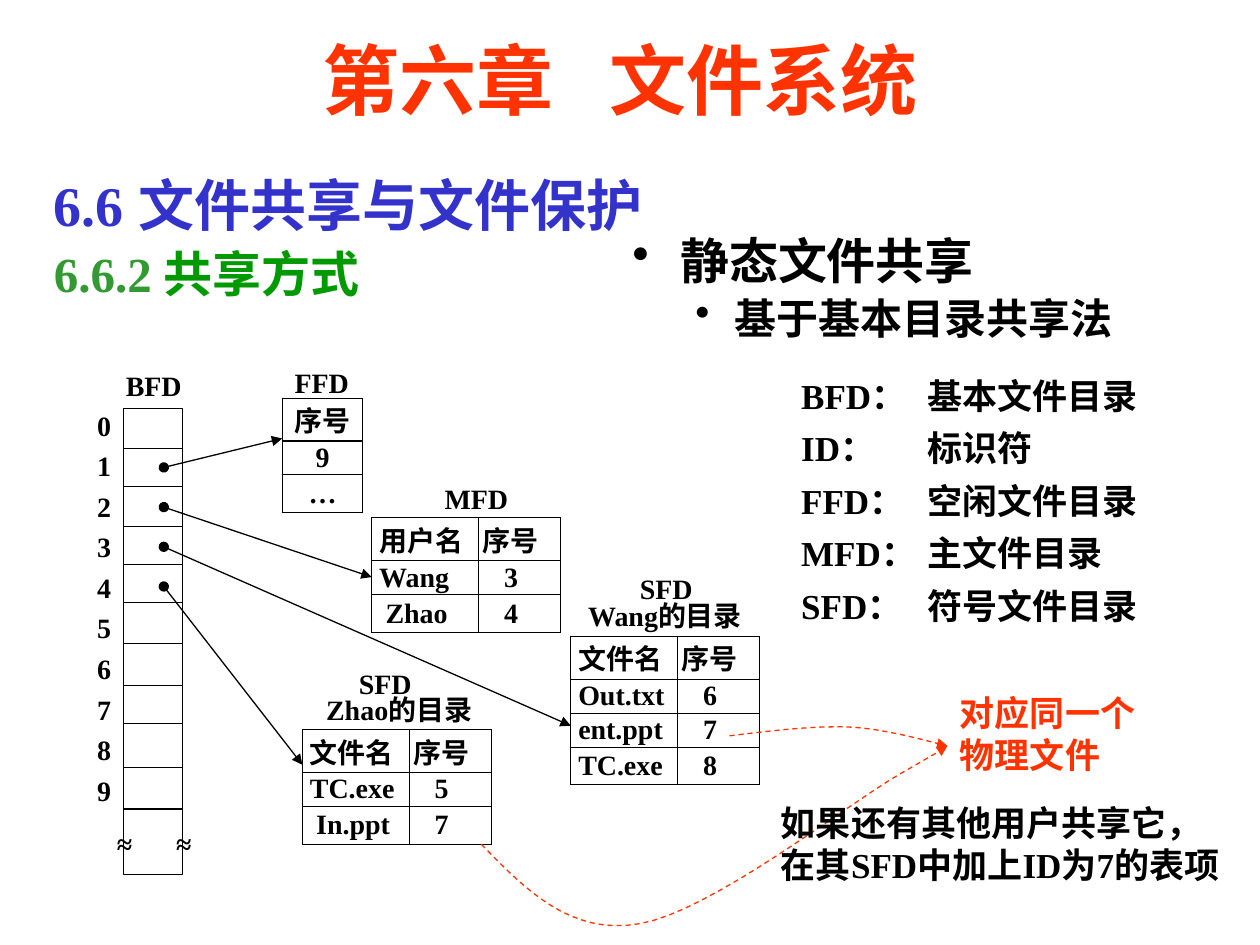
from dataclasses import dataclass
from pptx import Presentation
from pptx.dml.color import RGBColor as Rgb
from pptx.enum.dml import MSO_LINE as Dash
from pptx.enum.shapes import MSO_CONNECTOR as Conn, MSO_SHAPE as Shape
from pptx.enum.text import MSO_ANCHOR as Anchor, PP_ALIGN as Align
from pptx.oxml.ns import qn
from pptx.util import Inches, Pt
from lxml.etree import SubElement


@dataclass(frozen=True)
class Theme:
    font: str = "Times New Roman"
    black: Rgb = Rgb.from_string("000000")
    red: Rgb = Rgb.from_string("FF3300")
    blue: Rgb = Rgb.from_string("3333CC")
    green: Rgb = Rgb.from_string("339933")
    leaf: Rgb = Rgb.from_string("009900")
    title: int = 44
    head: int = 32
    sub: int = 28
    point: int = 24
    note: int = 20
    label: int = 16
    rule: float = 0.75


T = Theme()
HEAD_H, ROW_H, LAST_H = 0.34, 0.27, 0.3


def add_run(para, text, size=T.label, color=T.black):
    run = para.add_run()
    run.text = text
    font = run.font
    font.name, font.size, font.bold = T.font, Pt(size), True
    font.color.rgb = color
    return run


def add_box(slide, x, y, w, h, inset=0.05):
    frame = slide.shapes.add_textbox(*map(Inches, (x, y, w, h))).text_frame
    frame.word_wrap = True
    frame.margin_top = frame.margin_bottom = Inches(inset)
    return frame


def add_text(slide, box, lines, size=T.label, color=T.black, gap=0,
             align=Align.LEFT, tab=None, inset=0.05):
    """One paragraph per line, with gap points between them."""
    frame = add_box(slide, *box, inset=inset)
    for i, line in enumerate(lines):
        para = frame.add_paragraph() if i else frame.paragraphs[0]
        para.alignment = align
        if i:
            para.space_before = Pt(gap)
        if tab:
            stops = SubElement(para._p.get_or_add_pPr(), qn("a:tabLst"))
            SubElement(stops, qn("a:tab"), pos=str(Inches(tab)), algn="l")
        add_run(para, line, size, color)


def add_ends(shape, **ends):
    line = shape.line._get_or_add_ln()
    for tag, kind in ends.items():
        SubElement(line, qn(f"a:{tag}"), type=kind)


def add_line(slide, start, end, arrow=False):
    line = slide.shapes.add_connector(
        Conn.STRAIGHT, *map(Inches, (*start, *end)))
    line.line.color.rgb, line.line.width = T.black, Pt(T.rule)
    SubElement(line._element.spPr, qn("a:effectLst"))
    if arrow:
        add_ends(line, headEnd="oval", tailEnd="triangle")


def add_rect(slide, *box):
    rect = slide.shapes.add_shape(Shape.RECTANGLE, *map(Inches, box))
    rect.shadow.inherit = False
    rect.fill.background()
    rect.line.color.rgb, rect.line.width = T.black, Pt(T.rule)


def add_cell(cell, text, pad, align):
    props = cell._tc.get_or_add_tcPr()
    for side in "LRTB":
        edge = SubElement(props, qn(f"a:ln{side}"), w=str(Pt(T.rule)))
        fill = SubElement(edge, qn("a:solidFill"))
        SubElement(fill, qn("a:srgbClr"), val=str(T.black))
    cell.fill.background()
    cell.margin_left = Inches(pad)
    cell.margin_right = cell.margin_top = cell.margin_bottom = 0
    cell.vertical_anchor = Anchor.MIDDLE
    para = cell.text_frame.paragraphs[0]
    para.alignment = align
    add_run(para, text)


def add_grid(slide, x, y, widths, rows, pads, align=Align.LEFT):
    """Table of text rows; pads(row, col) gives each cell's left inset."""
    heights = [HEAD_H] + [ROW_H] * (len(rows) - 2) + [LAST_H]
    size = (sum(widths), sum(heights))
    table = slide.shapes.add_table(
        len(rows), len(widths), *map(Inches, (x, y, *size))).table
    table.first_row = table.horz_banding = False
    for col, width in zip(table.columns, widths):
        col.width = Inches(width)
    for r, (row, height) in enumerate(zip(rows, heights)):
        table.rows[r].height = Inches(height)
        for c, text in enumerate(row):
            add_cell(table.cell(r, c), text, pads(r, c), align)


def add_dir(slide, x, y, rows, shift=None):
    """Name and number table; the row at index shift is set further in."""
    def pads(r, c):
        if c:
            return 0.2 if r else 0.03
        return 0.11 if r == shift else 0.06
    add_grid(slide, x, y, (0.85, 0.65), rows, pads)


def add_curve(slide, start, curves, steps=16):
    """Dashed arrow along cubic curves, each given as three points."""
    pts, a = [], start
    for b, c, d in curves:
        for i in range(1, steps + 1):
            t = i / steps
            u = 1 - t
            mix = (u ** 3, 3 * u * u * t, 3 * u * t * t, t ** 3)
            pts.append(tuple(
                Inches(sum(m * p[k] for m, p in zip(mix, (a, b, c, d))))
                for k in (0, 1)))
        a = d
    form = slide.shapes.build_freeform(*map(Inches, start))
    form.add_line_segments(pts, close=False)
    curve = form.convert_to_shape()
    curve.shadow.inherit = False
    curve.fill.background()
    curve.line.color.rgb, curve.line.width = T.red, Pt(T.rule)
    curve.line.dash_style = Dash.DASH
    add_ends(curve, tailEnd="triangle")


def add_title(slide):
    title = slide.shapes.title
    title.left, title.top, title.width, title.height = map(
        Inches, (1.17, 0.25, 7.5, 0.75))
    title.text_frame.vertical_anchor = Anchor.MIDDLE
    para = title.text_frame.paragraphs[0]
    para.alignment = Align.CENTER
    add_run(para, "第六章", T.title, T.red)
    space = add_run(para, " ", T.title, T.red)
    space._r.get_or_add_rPr().set("spc", "2200")
    add_run(para, "文件系统", T.title, T.red)


def add_heads(slide):
    para = add_box(slide, 0.33, 1.25, 6.24, 1.2).paragraphs[0]
    para.line_spacing = 1.1
    add_run(para, "6.6 文件共享与文件保护", T.head, T.blue)
    para.add_line_break()
    add_run(para, "6.6.2 ", T.sub, T.green)
    add_run(para, "共享方式", T.sub, T.leaf)


def add_points(slide):
    frame = add_box(slide, 4.92, 1.78, 4.41, 1.05)
    items = (("静态文件共享", T.sub, 0.38, 0.38),
             ("基于基本目录共享法", T.point, 0.81, 0.31))
    for i, (text, size, left, hang) in enumerate(items):
        para = frame.add_paragraph() if i else frame.paragraphs[0]
        para.level = i
        props = para._p.get_or_add_pPr()
        props.set("marL", str(Inches(left)))
        props.set("indent", str(-Inches(hang)))
        SubElement(props, qn("a:buChar"), char="•")
        if i:
            para.space_before = Pt(2)
        add_run(para, text, size)


def add_index(slide):
    x, w = 0.98, 0.47
    add_rect(slide, x, 3.24, w, 3.18)
    add_rect(slide, x, 6.42, w, 0.52)
    for y in (3.56, 3.86, 4.18, 4.48, 4.78, 5.11, 5.44, 5.74, 6.09):
        add_line(slide, (x, y), (x + w, y))
    add_text(slide, (0.51, 3.19, w, 3.26), map(str, range(10)),
             gap=4, align=Align.RIGHT)
    for left in (0.83, 1.3):
        add_text(slide, (left, 6.56, 0.32, 0.27), ["≈"], inset=0)


def main():
    prs = Presentation()
    prs.slide_width, prs.slide_height = Inches(10), Inches(7.5)
    slide = prs.slides.add_slide(prs.slide_layouts[5])
    add_title(slide)
    add_heads(slide)
    add_points(slide)
    add_index(slide)

    add_grid(slide, 2.24, 3.16, (0.64,), [["序号"], ["9"], ["…"]],
             lambda r, c: 0, Align.CENTER)
    add_dir(slide, 2.95, 4.11,
            [("用户名", "序号"), ("Wang", "3"), ("Zhao", "4")], shift=2)
    add_dir(slide, 2.4, 5.79,
            [("文件名", "序号"), ("TC.exe", "5"), ("In.ppt", "7")], shift=2)
    add_dir(slide, 4.53, 5.05, [("文件名", "序号"), ("Out.txt", "6"),
                                ("ent.ppt", "7"), ("TC.exe", "8")])
    for text, x, y, w in (("BFD", 0.9, 2.88, 0.72), ("FFD", 2.24, 2.85, 0.72),
                          ("MFD", 3.43, 3.77, 0.72), ("SFD", 4.98, 4.49, 0.72),
                          ("SFD", 2.75, 5.24, 0.72),
                          ("Wang的目录", 4.57, 4.7, 1.5),
                          ("Zhao的目录", 2.49, 5.45, 1.42)):
        add_text(slide, (x, y, w, 0.37), [text])

    ends = ((2.24, 3.48), (2.95, 4.58), (4.53, 5.76), (2.4, 6.07))
    for i, end in enumerate(ends):
        add_line(slide, (1.3, 3.71 + 0.315 * i), end, arrow=True)

    add_curve(slide, (3.82, 6.7), [
        ((4.17, 7.06), (4.53, 7.43), (5.08, 7.33)),
        ((5.63, 7.24), (6.72, 6.39), (7.13, 6.15)),
        ((7.53, 5.92), (7.53, 5.92), (7.52, 5.92))])
    add_curve(slide, (5.79, 5.84), [
        ((6.12, 5.8), (6.44, 5.76), (6.73, 5.77)),
        ((7.02, 5.78), (7.39, 5.89), (7.52, 5.92))])

    add_text(slide, (6.26, 2.92, 3.31, 2.17),
             ["BFD：\t基本文件目录", "ID：\t标识符", "FFD：\t空闲文件目录",
              "MFD：\t主文件目录", "SFD：\t符号文件目录"],
             T.note, gap=6, tab=1)
    add_text(slide, (7.52, 5.44, 1.73, 0.77), ["对应同一个物理文件"],
             T.note, T.red)
    add_text(slide, (6.1, 6.31, 3.7, 0.77),
             ["如果还有其他用户共享它，在其SFD中加上ID为7的表项"], T.note)
    prs.save("out.pptx")


if __name__ == "__main__":
    main()
